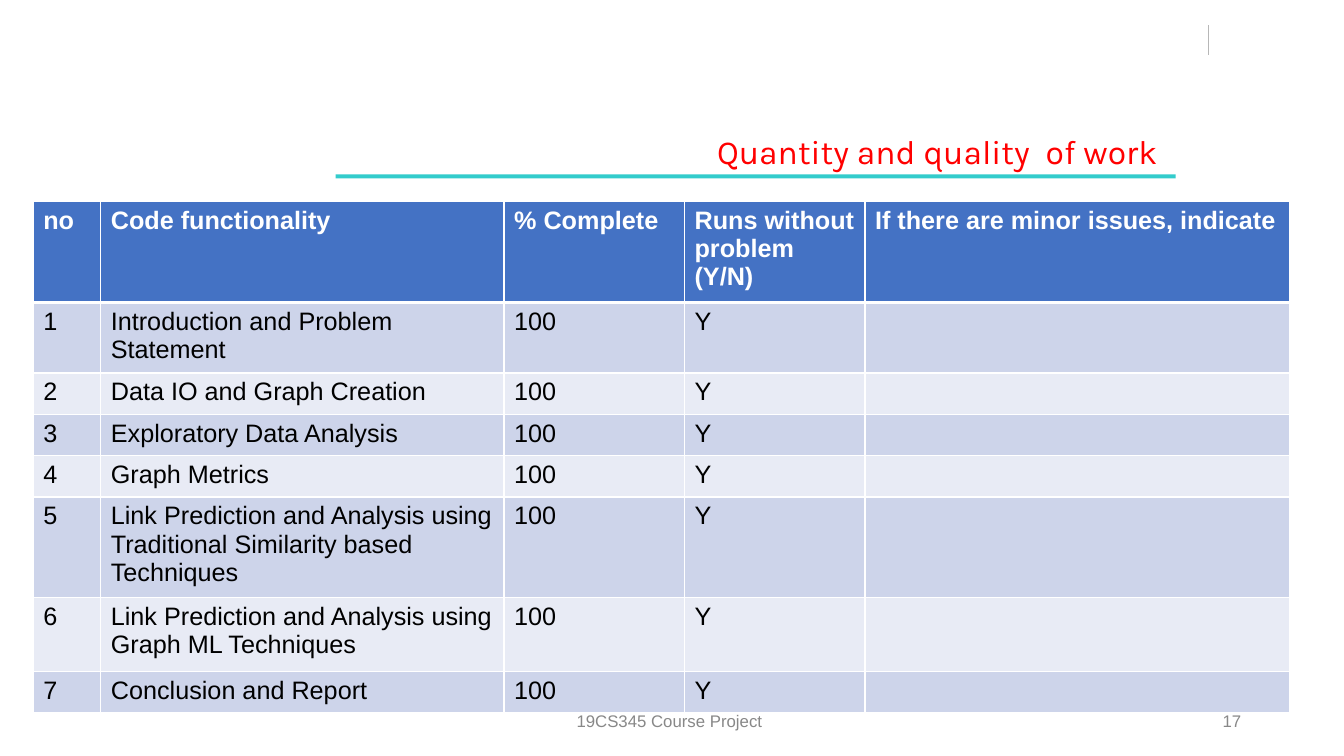
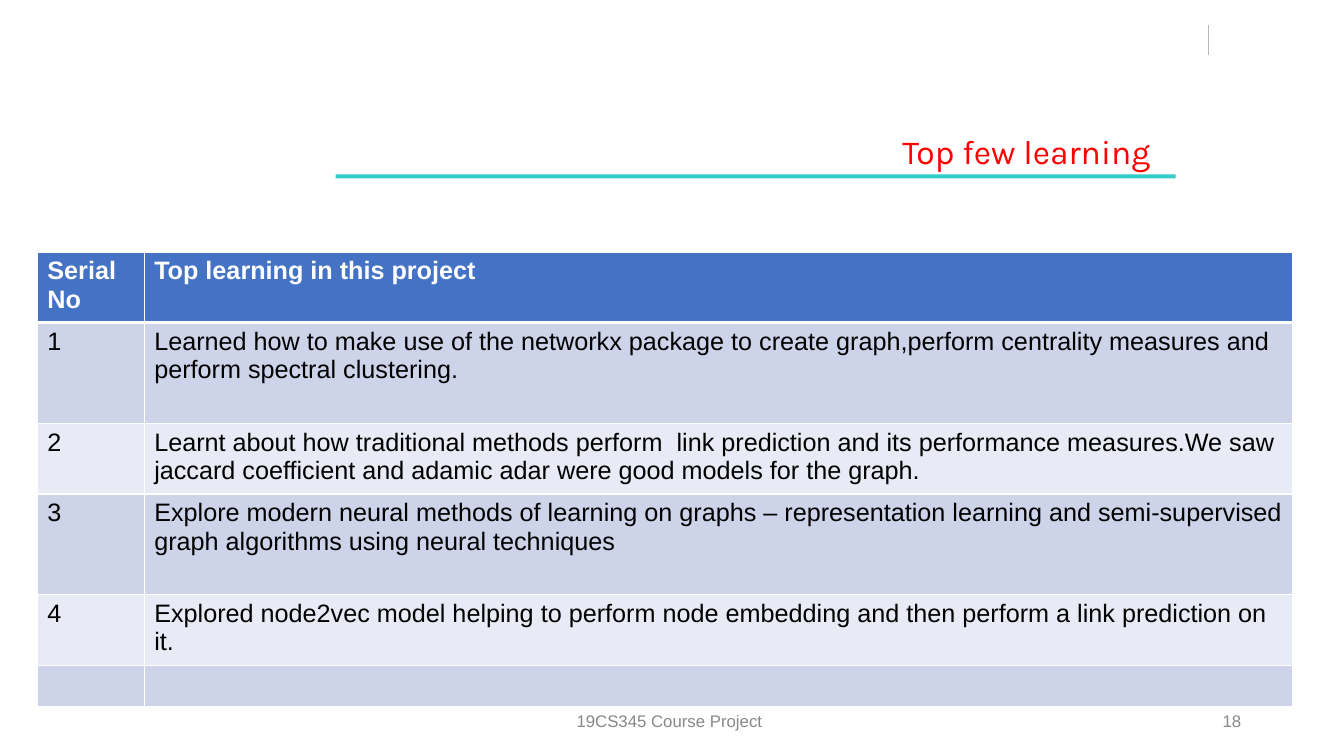
"""Build two course project slides: work status and top learning tables."""
from lxml.etree import SubElement
from pptx import Presentation
from pptx.dml.color import RGBColor
from pptx.enum.shapes import MSO_CONNECTOR, MSO_SHAPE
from pptx.enum.text import MSO_ANCHOR, PP_ALIGN
from pptx.oxml.ns import qn
from pptx.util import Inches, Pt

COLORS = {
    "title": "FF0000", "rule": "33CCCC", "tick": "B7B7B7", "footer": "888888",
    "header": "4472C4", "odd": "CDD4EA", "even": "E8EBF5",
    "white": "FFFFFF", "black": "000000",
}
FOOTER = "19CS345 Course Project"
TASKS = [
    "Introduction and Problem Statement",
    "Data IO and Graph Creation",
    "Exploratory Data Analysis",
    "Graph Metrics",
    "Link Prediction and Analysis using Traditional Similarity based Techniques",
    "Link Prediction and Analysis using Graph ML Techniques",
    "Conclusion and Report",
]
LEARNINGS = [
    "Learned how to make use of the networkx package to create graph,perform "
    "centrality measures and perform spectral clustering.",
    "Learnt about how traditional methods perform  link prediction and its performance "
    "measures.We saw jaccard coefficient and adamic adar were good models for the graph.",
    "Explore modern neural methods of learning on graphs – representation learning and "
    "semi-supervised\ngraph algorithms using neural techniques",
    "Explored node2vec model helping to perform node embedding and then perform a "
    "link prediction on it.",
]
SLIDES = [
    {
        "title": "Quantity and quality  of work", "title_margin": 0.19, "number": 17,
        "left": 0.33, "top": 2,
        "columns": [0.67, 4, 1.79, 1.79, 4.21],
        "heights": [0.99, 0.7, 0.41, 0.41, 0.41, 1, 0.73, 0.41],
        "rows": [["no", "Code functionality", "% Complete", "Runs without problem (Y/N)",
                  "If there are minor issues, indicate"]]
        + [[str(number), task, "100", "Y", ""] for number, task in enumerate(TASKS, 1)],
    },
    {
        "title": "Top few learning", "title_margin": 0.26, "number": 18,
        "left": 0.37, "top": 2.5,
        "columns": [1.06, 11.39],
        "heights": [0.69, 1, 0.7, 1, 0.7, 0.41],
        "rows": [["Serial\nNo", "Top learning in this project"]]
        + [[str(number), learning] for number, learning in enumerate(LEARNINGS, 1)]
        + [["", ""]],
    },
]


def color(name):
    return RGBColor.from_string(COLORS[name])


def write(frame, text, size=18, font="Arial", fill="black", bold=False, align=PP_ALIGN.LEFT):
    frame.word_wrap = True
    for index, line in enumerate(text.split("\n")):
        para = frame.add_paragraph() if index else frame.paragraphs[0]
        para.alignment = align
        if line:
            span = para.add_run()
            span.text = line
            span.font.size, span.font.name, span.font.bold = Pt(size), font, bold
            span.font.color.rgb = color(fill)


def add_text(page, text, left, top, width, height, margin=0.1, anchor=MSO_ANCHOR.MIDDLE,
             **style):
    box = page.shapes.add_textbox(Inches(left), Inches(top), Inches(width), Inches(height))
    box.text_frame.margin_right = Inches(margin)
    box.text_frame.vertical_anchor = anchor
    write(box.text_frame, text, **style)


def add_heading(page, title, title_margin):
    tick = page.shapes.add_connector(
        MSO_CONNECTOR.STRAIGHT, Inches(11.99), Inches(0.25), Inches(11.99), Inches(0.55))
    tick.line.color.rgb = color("tick")
    tick.line.width = Pt(0.75)
    SubElement(tick._element.spPr, qn("a:effectLst"))
    rule = page.shapes.add_shape(
        MSO_SHAPE.RECTANGLE, Inches(3.33), Inches(1.73), Inches(8.33), Inches(0.04))
    rule.shadow.inherit = False
    rule.fill.solid()
    rule.fill.fore_color.rgb = color("rule")
    rule.line.fill.background()
    add_text(page, title, 3.17, 1.25, 8.5, 0.5, margin=title_margin, anchor=MSO_ANCHOR.TOP,
             size=24, font="Karla", fill="title", align=PP_ALIGN.RIGHT)


def add_footer(page, number):
    for text, left, width, align in (
            (FOOTER, 4.39, 4.5, PP_ALIGN.CENTER), (str(number), 9.41, 3, PP_ALIGN.RIGHT)):
        add_text(page, text, left, 6.95, width, 0.4, size=12, fill="footer", align=align)


def add_borders(cell, row):
    widths = {"L": 1, "R": 1, "T": 3 if row == 1 else 1, "B": 3 if row == 0 else 1}
    properties = cell._tc.get_or_add_tcPr()
    for side, width in widths.items():
        line = SubElement(properties, qn(f"a:ln{side}"), w=str(Pt(width)))
        SubElement(SubElement(line, qn("a:solidFill")), qn("a:srgbClr"), val=COLORS["white"])


def add_grid(page, left, top, columns, heights, rows):
    table = page.shapes.add_table(
        len(rows), len(columns), Inches(left), Inches(top),
        Inches(sum(columns)), Inches(sum(heights))).table
    for column, width in zip(table.columns, columns):
        column.width = Inches(width)
    for row, (height, texts) in enumerate(zip(heights, rows)):
        table.rows[row].height = Inches(height)
        band = "header" if row == 0 else ("even", "odd")[row % 2]
        for column, text in enumerate(texts):
            cell = table.cell(row, column)
            add_borders(cell, row)
            cell.fill.solid()
            cell.fill.fore_color.rgb = color(band)
            write(cell.text_frame, text, fill="black" if row else "white", bold=row == 0)


def main():
    deck = Presentation()
    deck.slide_width, deck.slide_height = Inches(13.33), Inches(7.5)
    for content in SLIDES:
        page = deck.slides.add_slide(deck.slide_layouts[6])
        add_heading(page, content["title"], content["title_margin"])
        add_grid(page, content["left"], content["top"], content["columns"],
                 content["heights"], content["rows"])
        add_footer(page, content["number"])
    deck.save("out.pptx")


if __name__ == "__main__":
    main()
